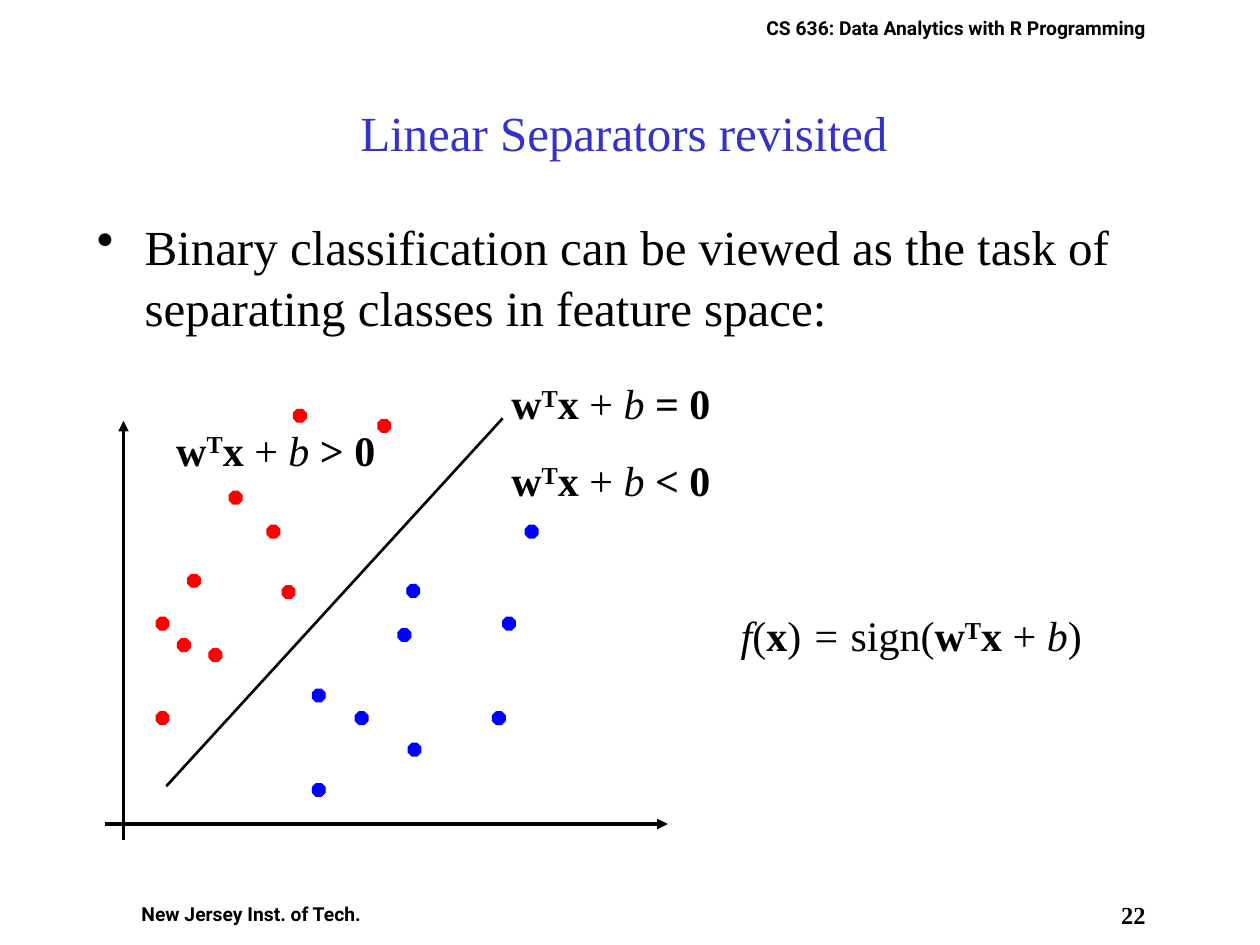
import pptx
import pptx.util
import pptx.dml.color
import pptx.enum.shapes
import pptx.enum.text
import pptx.oxml.ns
from lxml import etree

IN, PT = pptx.util.Inches, pptx.util.Pt
ALIGN, ANCHOR = pptx.enum.text.PP_ALIGN, pptx.enum.text.MSO_ANCHOR
SERIF, SANS = "Times New Roman", "Roboto"
BLACK, RED, BLUE, TITLE = "000000", "FF0000", "0000FF", "3333CC"
DOT = 0.1

# Left and top of every point, by class
POINTS = {
    RED: [(2.12, 4.17), (1.49, 4.56), (1.66, 5.15), (1.24, 5.65),
          (1.82, 3.9), (1.24, 4.9), (1.41, 5.07), (2.24, 4.65),
          (2.33, 3.25), (3, 3.33)],
    BLUE: [(3.23, 4.64), (2.82, 5.65), (3.91, 5.65), (2.48, 6.22),
           (3.16, 4.99), (2.48, 5.47), (3.24, 5.9), (3.99, 4.9),
           (4.17, 4.17)],
}

# Formula pieces: text and style (b bold, i italic, ^ superscript)
WTX_B = [("w", "b"), ("T", "b^"), ("x ", "b"), ("+ ", ""), ("b", "i")]
DECISION = [("f", "i"), ("(", ""), ("x", "b"), (")", ""), (" = ", "i"),
            ("sign(", ""), *WTX_B, (")", "")]


def color(value):
    return pptx.dml.color.RGBColor.from_string(value)


def add_xml(parent, tag, **attrs):
    return etree.SubElement(parent, pptx.oxml.ns.qn(tag), attrs)


def add_text(s, box, runs, size, font=SERIF, fill=BLACK, inset=(0.1, 0.05),
             align=ALIGN.LEFT, anchor=ANCHOR.TOP, bullet=False):
    sp = s.shapes.add_textbox(*map(IN, box))
    tf = sp.text_frame
    side, edge = map(IN, inset)
    frame = {"word_wrap": True, "vertical_anchor": anchor,
             "margin_left": side, "margin_right": side,
             "margin_top": edge, "margin_bottom": edge}
    for name, value in frame.items():
        setattr(tf, name, value)
    p = tf.paragraphs[0]
    p.alignment = align
    if bullet:
        p.line_spacing = 1.04
        pPr = p._p.get_or_add_pPr()
        pPr.set("marL", str(IN(0.38)))
        pPr.set("indent", str(-IN(0.38)))
        add_xml(pPr, "a:buChar", char="•")
    for text, style in runs:
        r = p.add_run()
        r.text = text
        values = {"name": font, "size": PT(size),
                  "bold": "b" in style, "italic": "i" in style}
        for name, value in values.items():
            setattr(r.font, name, value)
        r.font.color.rgb = color(fill)
        if "^" in style:
            r._r.get_or_add_rPr().set("baseline", "30000")
    return sp


def add_label(s, box, text, size=11, font=SANS, inset=(0.05, 0.05)):
    sp = add_text(s, box, [(text, "b")], size, font, inset=inset,
                  align=ALIGN.CENTER)
    sp.fill.solid()
    sp.fill.fore_color.rgb = color("FFFFFF")


def add_line(s, start, end, width, arrow=False):
    c = s.shapes.add_connector(pptx.enum.shapes.MSO_CONNECTOR.STRAIGHT,
                               *map(IN, start + end))
    c.line.width = PT(width)
    c.line.color.rgb = color(BLACK)
    if arrow:
        add_xml(c.line._get_or_add_ln(), "a:tailEnd", type="triangle")
    add_xml(c._element.spPr, "a:effectLst")


def add_dot(s, left, top, fill):
    sp = s.shapes.add_shape(pptx.enum.shapes.MSO_SHAPE.OCTAGON,
                            *map(IN, (left, top, DOT, DOT)))
    sp.shadow.inherit = False
    sp.fill.solid()
    sp.fill.fore_color.rgb = sp.line.color.rgb = color(fill)
    sp.line.width = PT(0.75)


def main():
    prs = pptx.Presentation()
    prs.slide_width, prs.slide_height = IN(10), IN(7.5)
    s = prs.slides.add_slide(prs.slide_layouts[6])

    # Header and footer
    add_label(s, (8.83, 7.14, 0.33, 0.36), "22", 14, SERIF, (0, 0))
    add_label(s, (0.83, 7.11, 2.33, 0.29), "New Jersey Inst. of Tech.")
    add_label(s, (5.82, 0.08, 3.54, 0.29),
              "CS 636: Data Analytics with R Programming")

    # Title and statement
    add_text(s, (0.75, 0.42, 8.5, 1.25), [("Linear Separators revisited ", "")],
             28, fill=TITLE, align=ALIGN.CENTER, anchor=ANCHOR.MIDDLE)
    add_text(s, (0.67, 1.65, 9, 5.5),
             [("Binary classification can be viewed as the task of "
               "separating classes in feature space:", "")], 28, bullet=True)

    # Axes, points and separating line
    add_line(s, (0.98, 6.67), (0.98, 3.34), 2, arrow=True)
    add_line(s, (0.83, 6.54), (5.3, 6.54), 2, arrow=True)
    for fill, points in POINTS.items():
        for left, top in points:
            add_dot(s, left, top, fill)
    add_line(s, (1.32, 6.24), (3.99, 3.32), 1.5)

    # Formulas
    for left, top, sign in ((3.96, 2.95, "="), (3.96, 3.56, "<"),
                            (1.3, 3.32, ">")):
        add_text(s, (left, top, 2.92, 0.5),
                 WTX_B + [(f" {sign} 0", "b")], 24)
    add_text(s, (5.78, 4.79, 3.21, 0.5), DECISION, 24)

    prs.save("out.pptx")


if __name__ == "__main__":
    main()
